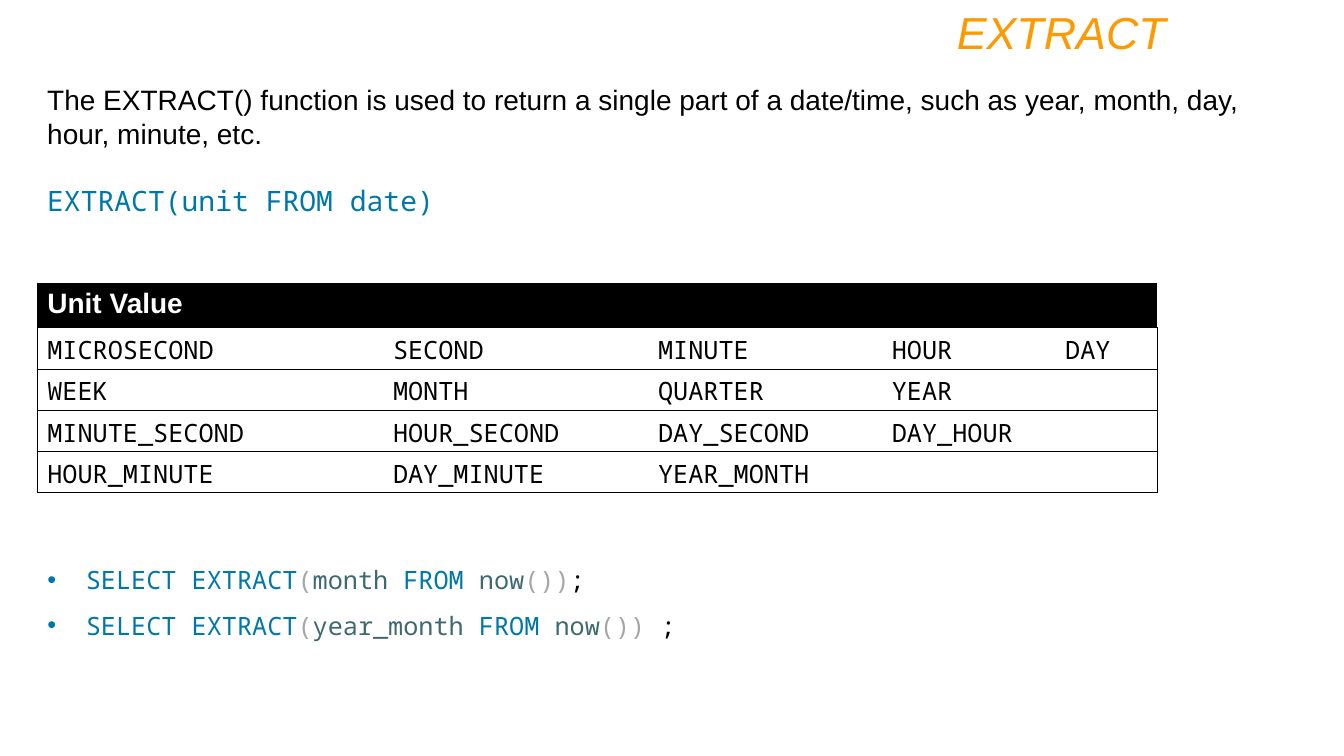
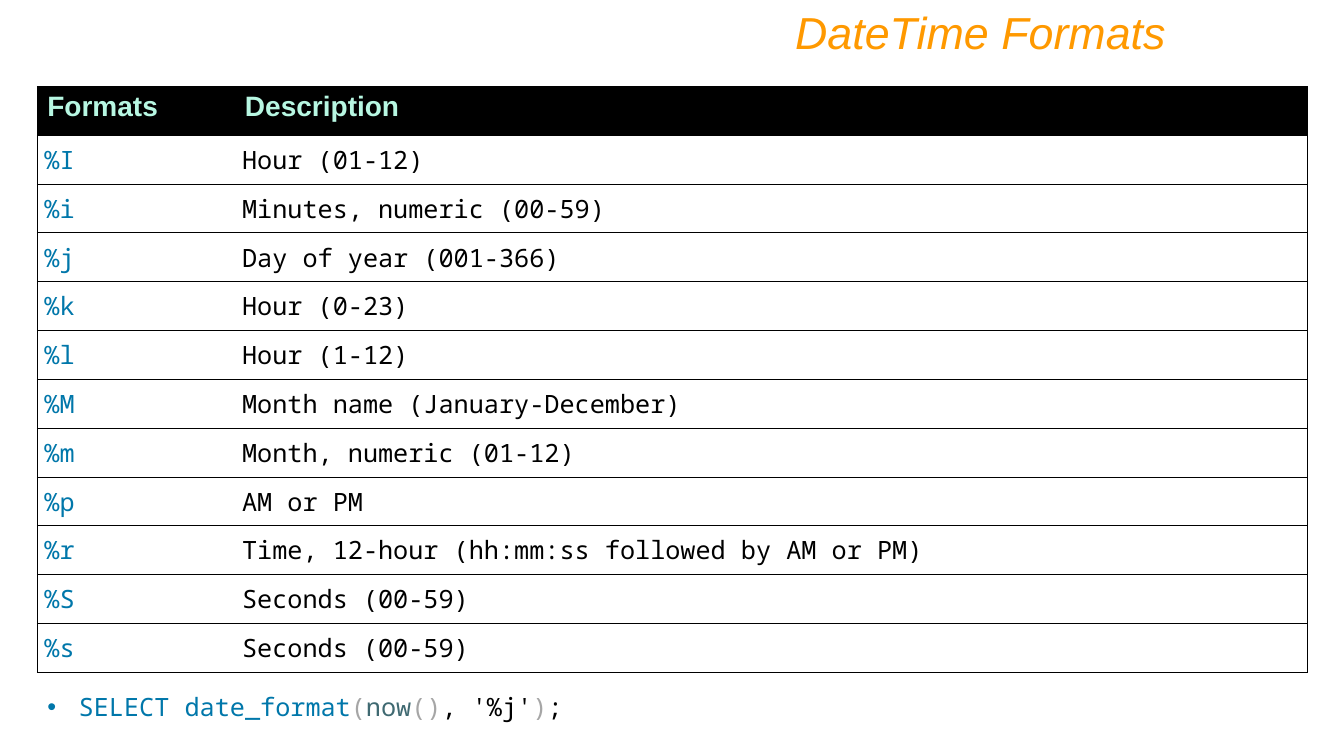
from lxml import etree
from pptx import Presentation
from pptx.dml.color import RGBColor
from pptx.enum.text import MSO_ANCHOR as Anchor, MSO_AUTO_SIZE as AutoSize, PP_ALIGN as Align
from pptx.oxml.ns import qn
from pptx.util import Cm, Pt

COLORS = {
    "title": "FF9900",
    "text": "000000",
    "keyword": "0077AA",
    "bracket": "A6A6A6",
    "argument": "3F6971",
    "line": "000000",
    "band": "000000",
    "white": "FFFFFF",
    "mint": "B7F7E2",
}
SANS, MONO = "Arial", "Noto Sans Mono"
LEFT = 0.94
TITLE_BOX = (4.24, 0, 25.4, 1.62)

UNITS = [
    ["MICROSECOND", "SECOND", "MINUTE", "HOUR", "DAY"],
    ["WEEK", "MONTH", "QUARTER", "YEAR", ""],
    ["MINUTE_SECOND", "HOUR_SECOND", "DAY_SECOND", "DAY_HOUR", ""],
    ["HOUR_MINUTE", "DAY_MINUTE", "YEAR_MONTH", "", ""],
]
FORMATS = [
    ("%I", "Hour (01-12)"),
    ("%i", "Minutes, numeric (00-59)"),
    ("%j", "Day of year (001-366)"),
    ("%k", "Hour (0-23)"),
    ("%l", "Hour (1-12)"),
    ("%M", "Month name (January-December)"),
    ("%m", "Month, numeric (01-12)"),
    ("%p", "AM or PM"),
    ("%r", "Time, 12-hour (hh:mm:ss followed by AM or PM)"),
    ("%S", "Seconds (00-59)"),
    ("%s", "Seconds (00-59)"),
]


def rgb(color):
    return RGBColor.from_string(COLORS[color])


def add_span(para, text, color, size=18, font=MONO, bold=False, italic=False):
    span = para.add_run()
    span.text = text
    span.font.name, span.font.size = font, Pt(size)
    span.font.bold, span.font.italic = bold, italic
    span.font.color.rgb = rgb(color)


def place(shape, box):
    shape.left, shape.top, shape.width, shape.height = map(Cm, box)
    frame = shape.text_frame
    frame.word_wrap = True
    frame.auto_size = AutoSize.SHAPE_TO_FIT_TEXT
    frame.vertical_anchor = Anchor.TOP
    return frame


def add_page(deck, title):
    page = deck.slides.add_slide(deck.slide_layouts.get_by_name("Title and Content"))
    para = place(page.shapes.title, TITLE_BOX).paragraphs[0]
    para.alignment = Align.RIGHT
    add_span(para, title, "title", 32, SANS, italic=True)
    return page


def add_text(page, box, text, color, font):
    frame = place(page.shapes.add_textbox(0, 0, 0, 0), box)
    add_span(frame.paragraphs[0], text, color, 20, font)


def fill_queries(page, box, queries, indent, line_spacing):
    """Put each query, a list of (text, color) spans, in the body as a bullet."""
    frame = place(page.placeholders[1], box)
    for index, query in enumerate(queries):
        para = frame.add_paragraph() if index else frame.paragraphs[0]
        para.space_before = Pt(0)
        para.line_spacing = line_spacing
        props = para._p.get_or_add_pPr()
        props.set("marL", str(Cm(indent)))
        props.set("indent", str(-Cm(indent)))
        etree.SubElement(props, qn("a:buFont")).set("typeface", SANS)
        etree.SubElement(props, qn("a:buChar")).set("char", "•")
        for text, color in query:
            add_span(para, text, color)


def set_borders(cell, visible):
    """Draw the named sides (L, R, T, B) and clear the others."""
    props = cell._tc.get_or_add_tcPr()
    for position, side in enumerate("LRTB"):
        line = etree.Element(qn(f"a:ln{side}"), w=str(Pt(0.75)))
        if side in visible:
            fill = etree.SubElement(line, qn("a:solidFill"))
            etree.SubElement(fill, qn("a:srgbClr")).set("val", COLORS["line"])
        else:
            etree.SubElement(line, qn("a:noFill"))
        props.insert(position, line)


def add_grid(page, left, top, widths, heights, header, rows, header_color, column_colors):
    """Add a table with a black header band and horizontal rules only."""
    frame = page.shapes.add_table(len(heights), len(widths), Cm(left), Cm(top),
                                  Cm(sum(widths)), Cm(sum(heights)))
    table = frame.table
    table.horz_banding = False
    for column, width in zip(table.columns, widths):
        column.width = Cm(width)
    for row, height in zip(table.rows, heights):
        row.height = Cm(height)
    last = len(widths) - 1
    for r, texts in enumerate([header, *rows]):
        for c, text in enumerate(texts):
            cell = table.cell(r, c)
            if r == 0:
                cell.fill.solid()
                cell.fill.fore_color.rgb = rgb("band")
            else:
                cell.fill.background()
            set_borders(cell, "TB" + "L" * (c == 0) + "R" * (c == last))
            para = cell.text_frame.paragraphs[0]
            if text and r == 0:
                add_span(para, text, header_color, 20, SANS, bold=True)
            elif text:
                add_span(para, text, column_colors[c])
    return table


def build_extract(deck):
    page = add_page(deck, "EXTRACT")
    add_text(page, (LEFT, 1.96, 32, 1.96),
             "The EXTRACT() function is used to return a single part of a date/time, "
             "such as year, month, day, hour, minute, etc.", "text", SANS)
    add_text(page, (LEFT, 4.5, 11, 1.12), "EXTRACT(unit FROM date)", "keyword", MONO)
    table = add_grid(page, LEFT, 7.14, [8.71, 6.68, 5.89, 4.37, 2.57], [1.12] + [1.04] * 4,
                     ["Unit Value", "", "", "", ""], UNITS, "white", ["text"] * 5)
    table.cell(0, 0).merge(table.cell(0, 4))
    queries = [
        [("SELECT EXTRACT", "keyword"), ("(", "bracket"), (unit, "argument"),
         ("FROM ", "keyword"), ("now", "argument"), ("())", "bracket"), (end, "text")]
        for unit, end in [("month ", ";"), ("year_month ", " ;")]
    ]
    fill_queries(page, (LEFT, 13.72, 23.5, 2.41), queries, 0.97, 1.5)


def build_formats(deck):
    page = add_page(deck, "DateTime Formats")
    table = add_grid(page, LEFT, 2.18, [4.98, 27.03], [1.23] * 12,
                     ["Formats", "Description"], FORMATS, "mint", ["keyword", "text"])
    for r in range(1, len(table.rows)):
        for cell in table.rows[r].cells:
            cell.vertical_anchor = Anchor.MIDDLE
            cell.margin_left = cell.margin_right = Cm(0.18)
            cell.margin_top = cell.margin_bottom = 0
    query = [("SELECT date_format", "keyword"), ("(", "bracket"), ("now", "argument"),
             ("()", "bracket"), (", '%j'", "text"), (")", "bracket"), (";", "text")]
    fill_queries(page, (LEFT, 17.3, 24.56, 1.02), [query], 0.79, 1.0)


def main():
    deck = Presentation()
    deck.slide_width, deck.slide_height = Cm(33.87), Cm(19.05)
    build_extract(deck)
    build_formats(deck)
    deck.save("out.pptx")


if __name__ == "__main__":
    main()
